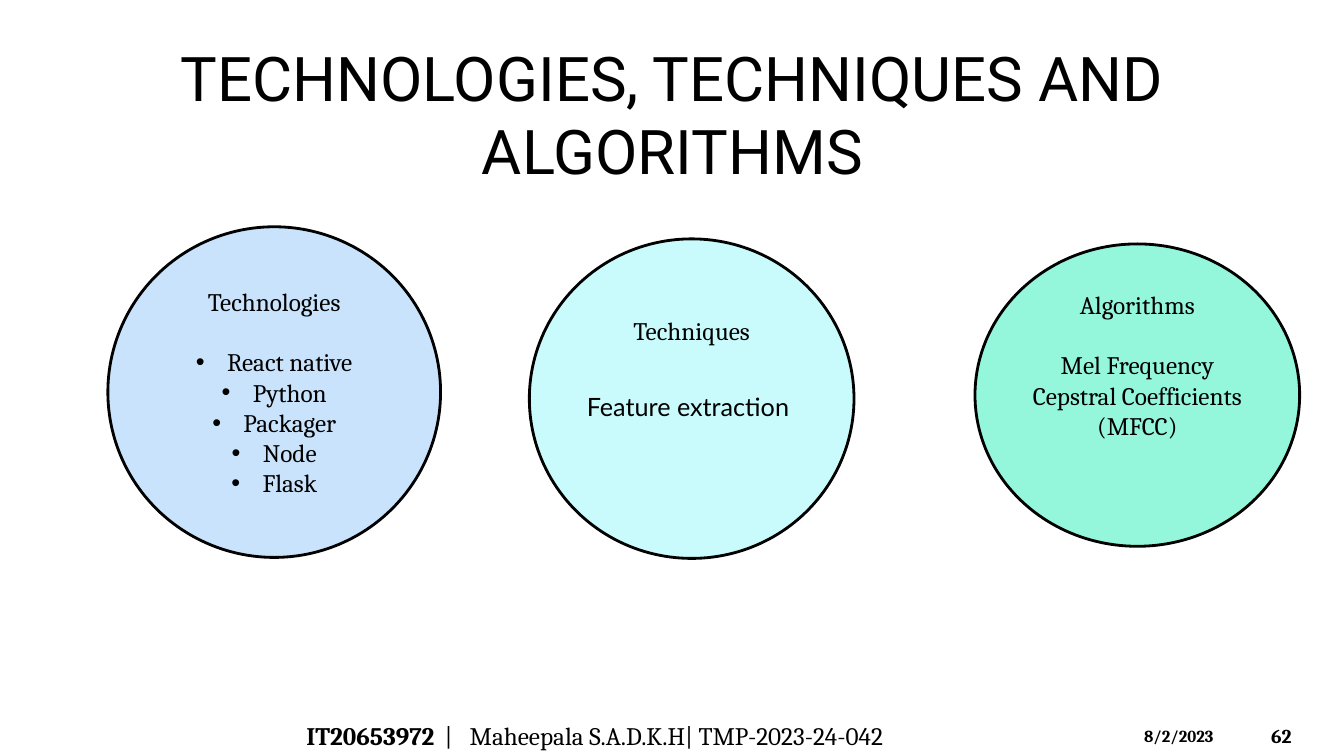
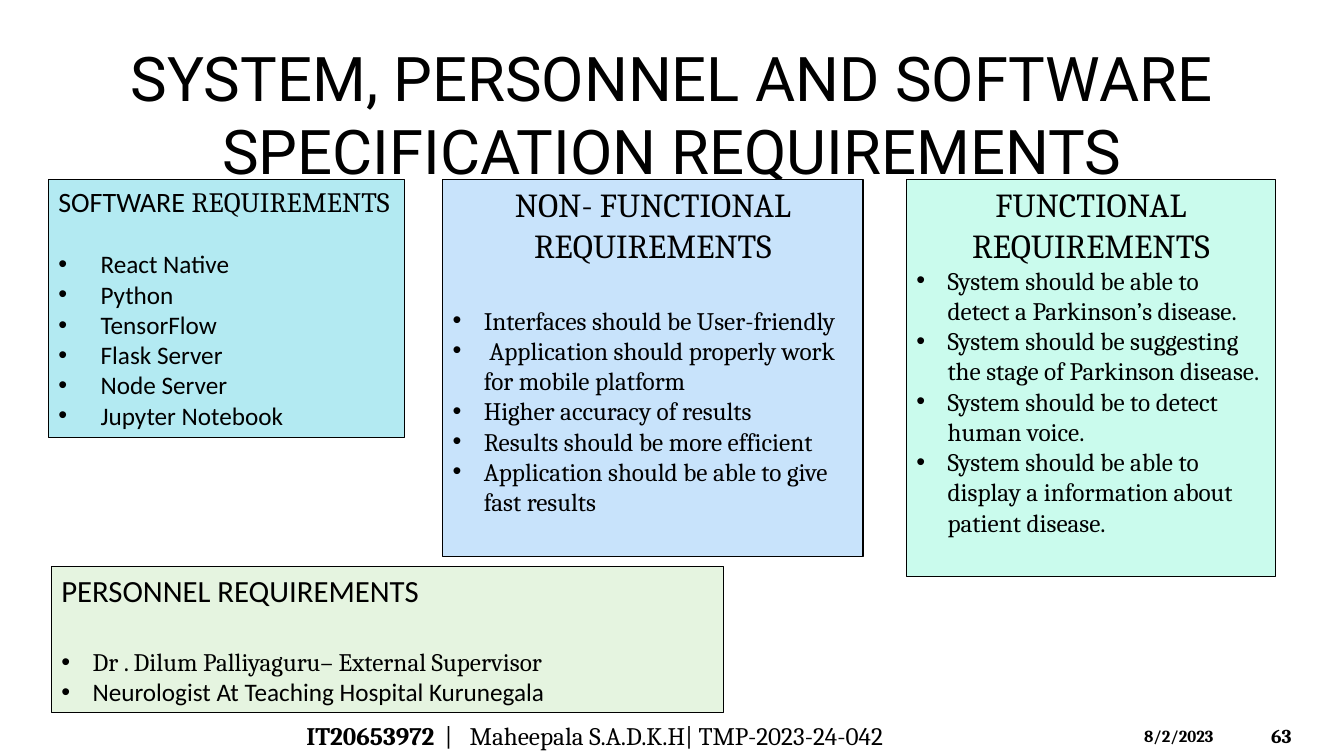
from dataclasses import dataclass

from lxml import etree
from pptx import Presentation
from pptx.dml.color import RGBColor
from pptx.enum.shapes import MSO_SHAPE
from pptx.enum.text import MSO_ANCHOR, MSO_AUTO_SIZE, PP_ALIGN
from pptx.oxml.ns import qn
from pptx.util import Inches, Pt

OVAL, RECTANGLE = MSO_SHAPE.OVAL, MSO_SHAPE.RECTANGLE
LEFT, CENTER = PP_ALIGN.LEFT, PP_ALIGN.CENTER
TOP, MIDDLE = MSO_ANCHOR.TOP, MSO_ANCHOR.MIDDLE


@dataclass(frozen=True)
class Theme:
    ink: str = "000000"
    blue: str = "C8E3FB"
    cyan: str = "C9FAFC"
    mint: str = "94F7DC"
    aqua: str = "B3EAF2"
    pale_mint: str = "CAFBED"
    pale_green: str = "E5F4E0"
    display: str = "Roboto"
    serif: str = "Cambria"
    sans: str = "Calibri"
    accent: str = "Lato"
    title_size: int = 44
    body_size: int = 18
    date_size: int = 12
    number_size: int = 14
    circle_line: float = 2
    box_line: float = 0.75


THEME = Theme()


@dataclass
class Panel:
    place: tuple  # left, top, width, height in inches
    fill: str
    heading: list  # (text, font) runs
    items: list
    font: str = THEME.serif
    heading_size: int = THEME.body_size
    gap: float = 0  # points between heading and items
    heading_align: int = CENTER
    item_align: int = LEFT
    indent: float = 0.31  # zero means no bullets
    line_spacing: float = 1
    bottom_inset: float = 0.05


# Content
STUDENT_ID = "IT20653972"
PROJECT = "Maheepala S.A.D.K.H| TMP-2023-24-042"
DATE = "8/2/2023"
FIRST_NUMBER = 62

CIRCLES = [
    Panel((1.07, 2.25, 3.3, 3.28), THEME.blue, [("Technologies", THEME.serif)],
          ["React native", "Python", "Packager", "Node", "Flask"],
          gap=21.6, item_align=CENTER),
    Panel((5.25, 2.37, 3.22, 3.17), THEME.cyan, [("Techniques", THEME.serif)],
          ["Feature extraction"], font=THEME.accent,
          gap=21.6, indent=0, line_spacing=1.5, bottom_inset=0.65),
    Panel((9.67, 2.42, 3.22, 3), THEME.mint, [("Algorithms", THEME.serif)],
          ["Mel Frequency Cepstral Coefficients (MFCC)"],
          gap=21.6, item_align=CENTER, indent=0, bottom_inset=0.65),
]

BOXES = [
    Panel((0.48, 1.78, 3.53, 2.56), THEME.aqua,
          [("SOFTWARE ", THEME.sans), ("REQUIREMENTS", THEME.serif)],
          ["React Native", "Python", "TensorFlow", "Flask Server",
           "Node Server", "Jupyter Notebook"],
          font=THEME.sans, heading_size=20, gap=22, heading_align=LEFT, indent=0.42),
    Panel((8.99, 1.78, 3.66, 3.94), THEME.pale_mint,
          [("FUNCTIONAL REQUIREMENTS", THEME.serif)],
          ["System should be able to detect a Parkinson’s disease.",
           "System should be suggesting the stage of Parkinson disease.",
           "System should be to detect human voice.",
           "System should be able to display a information about patient disease."],
          heading_size=24),
    Panel((4.39, 1.78, 4.17, 3.74), THEME.blue,
          [("NON- FUNCTIONAL REQUIREMENTS", THEME.serif)],
          ["Interfaces should be User-friendly",
           " Application should properly work for mobile platform",
           "Higher accuracy of results",
           "Results should be more efficient",
           "Application should be able to give fast results"],
          heading_size=24, gap=28.5),
    Panel((0.51, 5.62, 6.67, 1.45), THEME.pale_green,
          [("PERSONNEL REQUIREMENTS", THEME.sans)],
          [("Dr . Dilum Palliyaguru– External Supervisor", THEME.serif),
           "Neurologist At Teaching Hospital Kurunegala"],
          font=THEME.sans, heading_size=22, gap=27, heading_align=LEFT),
]

SLIDES = [
    ("TECHNOLOGIES, TECHNIQUES AND ALGORITHMS",
     OVAL, THEME.circle_line, MIDDLE, CIRCLES),
    ("SYSTEM, PERSONNEL AND SOFTWARE SPECIFICATION REQUIREMENTS",
     RECTANGLE, THEME.box_line, TOP, BOXES),
]


# Text helpers
def add_run(paragraph, text, font, size, bold=False):
    run = paragraph.add_run()
    run.text = text
    run.font.name = font
    run.font.size = Pt(size)
    run.font.bold = bold
    run.font.color.rgb = RGBColor.from_string(THEME.ink)


def add_bullet(paragraph, indent):
    properties = paragraph._p.get_or_add_pPr()
    properties.set("marL", str(Inches(indent)))
    properties.set("indent", str(-Inches(indent)))
    etree.SubElement(properties, qn("a:buFont")).set("typeface", "Arial")
    etree.SubElement(properties, qn("a:buChar")).set("char", "•")


def add_tab_stops(paragraph, stops):
    tabs = etree.SubElement(paragraph._p.get_or_add_pPr(), qn("a:tabLst"))
    for stop in stops:
        etree.SubElement(tabs, qn("a:tab"), pos=str(Inches(stop)), algn="l")


# Shared slide parts
def style_layout(layout):
    title = layout.placeholders[0]
    title.left, title.top, title.width, title.height = map(
        Inches, (0.92, 0.4, 11.5, 1.45))


def add_title(slide, text):
    frame = slide.shapes.title.text_frame
    frame.auto_size = MSO_AUTO_SIZE.NONE
    frame.vertical_anchor = MIDDLE
    frame.paragraphs[0].alignment = CENTER
    add_run(frame.paragraphs[0], text, THEME.display, THEME.title_size)


def add_footer_part(slide, place, text, size):
    frame = slide.shapes.add_textbox(*map(Inches, place)).text_frame
    frame.word_wrap = True
    frame.vertical_anchor = MIDDLE
    add_run(frame.paragraphs[0], text, THEME.serif, size, bold=True)
    return frame.paragraphs[0]


def add_footer(slide, number):
    add_footer_part(slide, (11.25, 7.15, 1.17, 0.3), DATE, THEME.date_size)
    add_footer_part(slide, (12.51, 7.1, 0.74, 0.4), str(number), THEME.number_size)
    author = add_footer_part(slide, (2.94, 7.1, 7.45, 0.4),
                             STUDENT_ID, THEME.body_size)
    add_tab_stops(author, (1.37, 1.62))
    add_run(author, f"\t|\t{PROJECT}", THEME.serif, THEME.body_size)


# Circles and boxes
def add_panel(slide, panel, outline, line_width, anchor):
    shape = slide.shapes.add_shape(outline, *map(Inches, panel.place))
    shape.shadow.inherit = False
    shape.fill.solid()
    shape.fill.fore_color.rgb = RGBColor.from_string(panel.fill)
    shape.line.color.rgb = RGBColor.from_string(THEME.ink)
    shape.line.width = Pt(line_width)

    frame = shape.text_frame
    frame.word_wrap = True
    frame.vertical_anchor = anchor
    frame.margin_bottom = Inches(panel.bottom_inset)
    heading = frame.paragraphs[0]
    heading.alignment = panel.heading_align
    for text, font in panel.heading:
        add_run(heading, text, font, panel.heading_size)

    for index, item in enumerate(panel.items):
        text, font = item if isinstance(item, tuple) else (item, panel.font)
        paragraph = frame.add_paragraph()
        paragraph.alignment = panel.item_align
        paragraph.line_spacing = panel.line_spacing
        paragraph.space_before = Pt(0 if index else panel.gap)
        if panel.indent:
            add_bullet(paragraph, panel.indent)
        add_run(paragraph, text, font, THEME.body_size)


def main():
    deck = Presentation()
    deck.slide_width, deck.slide_height = Inches(13.33), Inches(7.5)
    layout = deck.slide_layouts.get_by_name("Title Only")
    style_layout(layout)
    for number, (title, outline, line_width, anchor, panels) in enumerate(
            SLIDES, FIRST_NUMBER):
        slide = deck.slides.add_slide(layout)
        add_footer(slide, number)
        add_title(slide, title)
        for panel in panels:
            add_panel(slide, panel, outline, line_width, anchor)
    deck.save("out.pptx")


if __name__ == "__main__":
    main()
